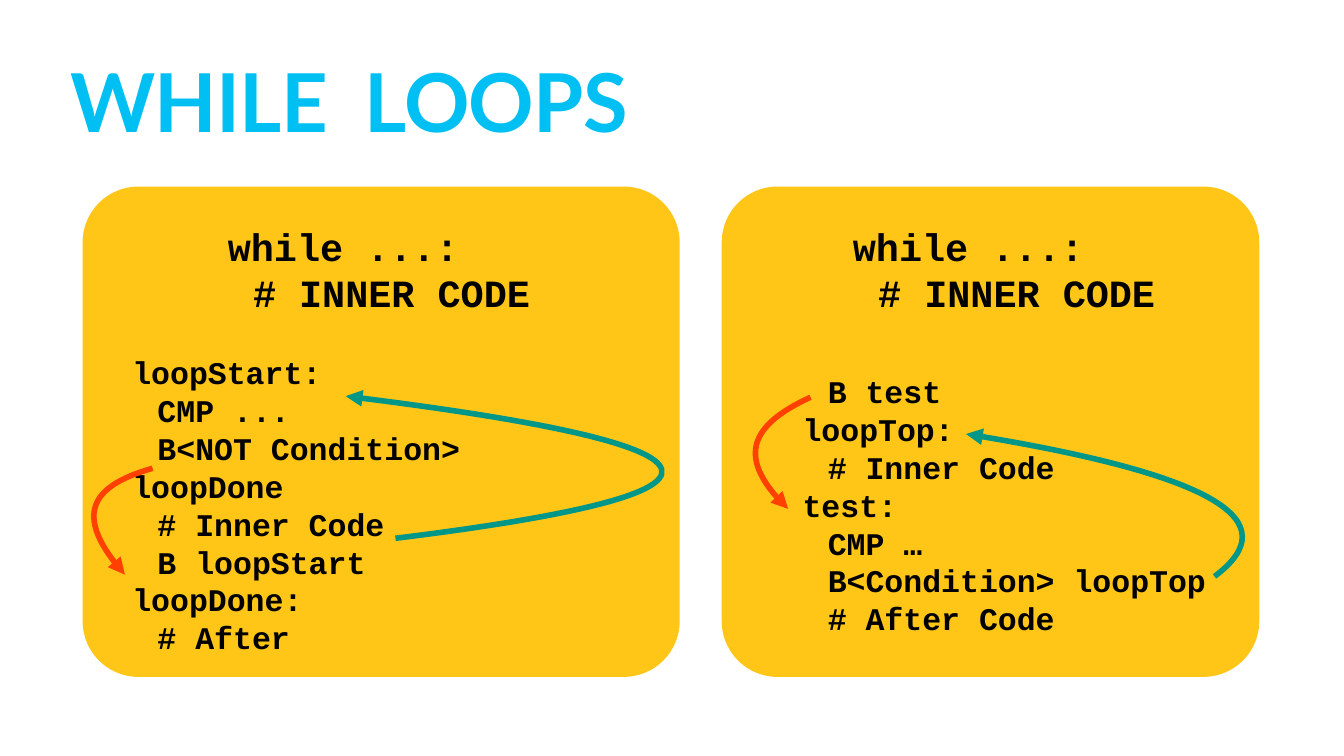
"""Build a slide comparing two ways of writing a while loop in assembly."""
from lxml.etree import SubElement
from pptx import Presentation
from pptx.dml.color import RGBColor
from pptx.enum.shapes import MSO_SHAPE
from pptx.enum.text import MSO_ANCHOR, MSO_AUTO_SIZE
from pptx.oxml.ns import qn
from pptx.util import Pt

YELLOW, BLUE, BLACK = "FFC618", "00BFF3", "000000"
EXIT_RED, REPEAT_GREEN = "FF4000", "009688"
HEADING = ["while ...:", "\t# INNER CODE"]
PANEL_TOP, PANEL_HEIGHT = 266.5, 700.5
HEADING_TOP, CODE_TOP = 317.5, 538.5


def color(value):
    return RGBColor.from_string(value)


def bezier(points, t):
    weights = ((1 - t) ** 3, 3 * t * (1 - t) ** 2, 3 * t * t * (1 - t), t ** 3)
    return tuple(sum(w * p[axis] for w, p in zip(weights, points)) for axis in (0, 1))


class SlideWriter:
    def __init__(self, s):
        self.s = s
        self.margin = Pt(4.5)

    def frame(self, shapes, x, y, w, h, wrap):
        tf = shapes.add_textbox(Pt(x), Pt(y), Pt(w), Pt(h)).text_frame
        tf.word_wrap = wrap
        tf.margin_left = tf.margin_right = self.margin
        tf.margin_top = tf.margin_bottom = self.margin
        return tf

    def style(self, p, font, size, fill):
        for r in p.runs:
            r.font.name, r.font.size, r.font.bold = font, Pt(size), True
            r.font.color.rgb = color(fill)

    def title(self, text, x, y, w, h):
        tf = self.frame(self.s.shapes, x, y, w, h, True)
        tf.text = text
        p = tf.paragraphs[0]
        p.line_spacing = 0.8
        self.style(p, "Lato", 116, BLUE)
        p.runs[0].font._element.set("spc", "-120")

    def panel(self, x, w):
        sp = self.s.shapes.add_shape(
            MSO_SHAPE.ROUNDED_RECTANGLE, Pt(x), Pt(PANEL_TOP), Pt(w), Pt(PANEL_HEIGHT))
        sp.adjustments[0] = 0.114
        sp.shadow.inherit = False
        sp.fill.solid()
        sp.fill.fore_color.rgb = color(YELLOW)
        sp.line.fill.background()

    def code(self, shapes, lines, x, y, w, h, size):
        tf = self.frame(shapes, x, y, w, h, False)
        tf.vertical_anchor = MSO_ANCHOR.MIDDLE
        tf.auto_size = MSO_AUTO_SIZE.SHAPE_TO_FIT_TEXT
        for i, line in enumerate(lines):
            p = tf.add_paragraph() if i else tf.paragraphs[0]
            p.text = line.lstrip("\t")
            if line.startswith("\t"):
                p.level = 1
                pPr = p._p.get_or_add_pPr()
                pPr.set("marL", "0")
                pPr.set("indent", str(Pt(36)))
            self.style(p, "Courier New", size, BLACK)

    def curve(self, shapes, points, stroke):
        """Draw a cubic curve with an arrowhead, sized by its true bounds."""
        points = [(Pt(x), Pt(y)) for x, y in points]
        builder = shapes.build_freeform(*points[0])
        builder.add_line_segments([bezier(points, i / 100) for i in range(1, 101)], close=False)
        sp = builder.convert_to_shape()
        path = sp._element.spPr.find(".//" + qn("a:path"))
        for segment in path.findall(qn("a:lnTo")):
            path.remove(segment)
        cubic = SubElement(path, qn("a:cubicBezTo"))
        for x, y in points[1:]:
            SubElement(cubic, qn("a:pt"), x=str(x - sp.left), y=str(y - sp.top))
        sp.shadow.inherit = False
        sp.fill.background()
        sp.line.color.rgb = color(stroke)
        sp.line.width = Pt(8)
        SubElement(sp.line._get_or_add_ln(), qn("a:tailEnd"), type="triangle")

    def flow(self, lines, x, w, exit_points, repeat_points):
        shapes = self.s.shapes.add_group_shape().shapes
        self.code(shapes, lines, x, CODE_TOP, w, 365, 45)
        self.curve(shapes, exit_points, EXIT_RED)
        self.curve(shapes, repeat_points, REPEAT_GREEN)


def main():
    prs = Presentation()
    prs.slide_width, prs.slide_height = Pt(1920), Pt(1080)
    slide = SlideWriter(prs.slides.add_slide(prs.slide_layouts[6]))
    slide.title("WHILE  LOOPS", 96, 96, 1728, 181)
    for panel_x, panel_w, heading_x in ((118, 853, 321), (1031, 768, 1214)):
        slide.panel(panel_x, panel_w)
        slide.code(slide.s.shapes, HEADING, heading_x, HEADING_TOP, 441, 134, 55)
    slide.flow(
        ["loopStart:", "\tCMP ...", "\tB<NOT Condition> loopDone", "\t# Inner Code",
         "\tB loopStart", "loopDone:", "\t# After"],
        184.5, 720,
        [(218, 669), (124, 695.5), (111, 746), (178.5, 821)],
        [(565, 769), (1091.5, 704), (1068.5, 636.5), (494, 566)])
    slide.flow(
        ["\tB test", "loopTop:", "\t# Inner Code", "test:", "\tCMP …",
         "\tB<Condition> loopTop", "\t# After Code"],
        1142, 585.5,
        [(1158, 567.5), (1068, 608.5), (1057, 662), (1126, 727)],
        [(1735, 823.5), (1843, 743), (1725, 675.5), (1380, 620)])
    prs.save("out.pptx")


if __name__ == "__main__":
    main()
